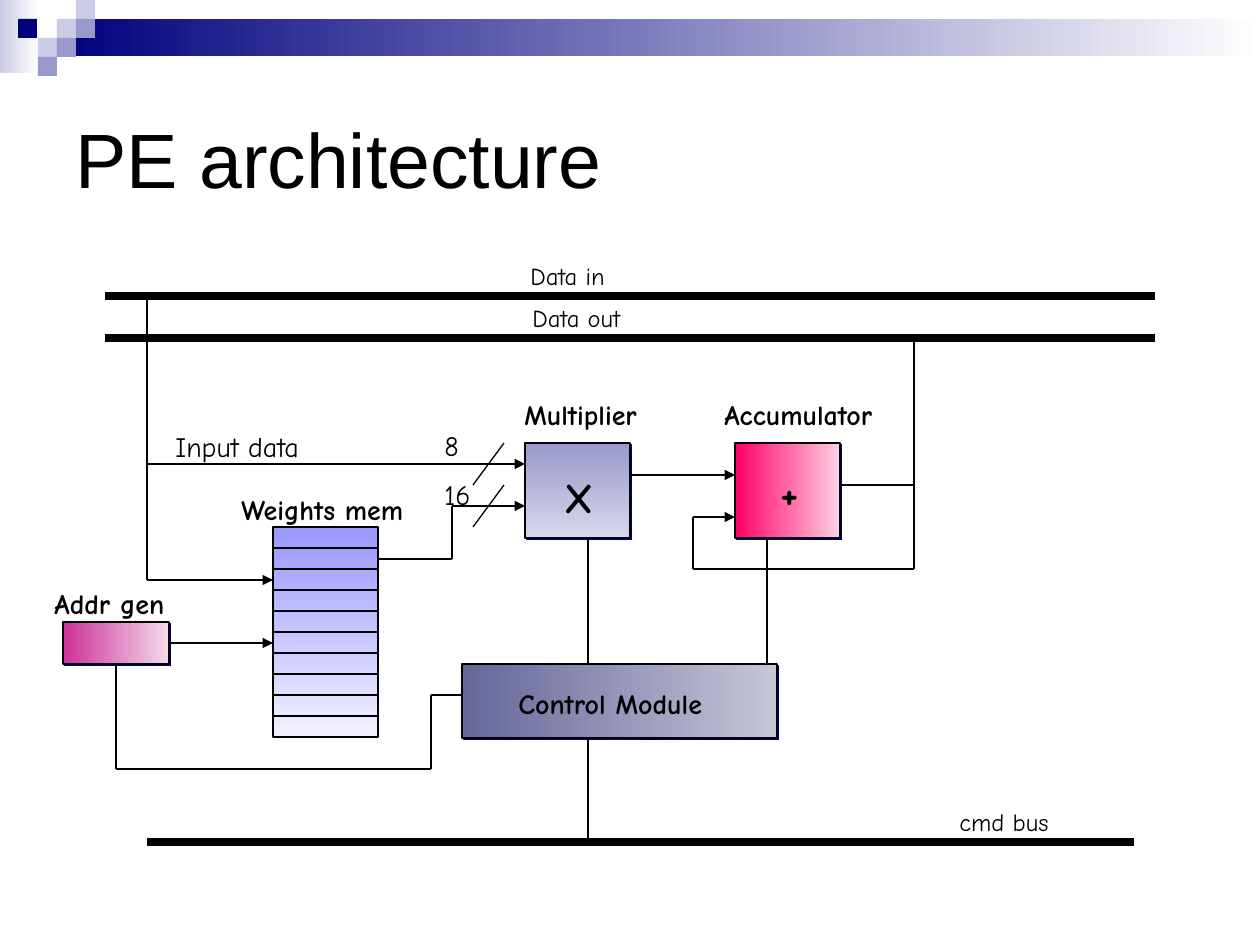
from lxml import etree
from pptx import Presentation
from pptx.dml.color import RGBColor
from pptx.enum.shapes import MSO_CONNECTOR, MSO_SHAPE
from pptx.enum.text import MSO_ANCHOR, MSO_AUTO_SIZE
from pptx.oxml.ns import qn
from pptx.util import Emu, Pt

RECT = MSO_SHAPE.RECTANGLE
LINE = MSO_CONNECTOR.STRAIGHT
MIDDLE = MSO_ANCHOR.MIDDLE
FIT = MSO_AUTO_SIZE.SHAPE_TO_FIT_TEXT
FIXED = MSO_AUTO_SIZE.NONE
BOTTOM, RIGHT = 2, 3

BLACK = RGBColor(0x00, 0x00, 0x00)
WHITE = RGBColor(0xFF, 0xFF, 0xFF)
NAVY = RGBColor(0x00, 0x00, 0x7D)
LILAC = RGBColor(0x99, 0x99, 0xCC)
PALE = RGBColor(0xCC, 0xCC, 0xE6)
MIST = RGBColor(0xD8, 0xD8, 0xEB)
BLUE = RGBColor(0x99, 0x99, 0xFF)
ICE = RGBColor(0xF1, 0xF1, 0xFE)
RED = RGBColor(0xFF, 0x00, 0x66)
ROSE = RGBColor(0xFE, 0xD0, 0xE2)
SLATE = RGBColor(0x66, 0x66, 0x99)
ASH = RGBColor(0xC6, 0xC6, 0xD8)
PLUM = RGBColor(0xCC, 0x33, 0x99)
BLUSH = RGBColor(0xF4, 0xD9, 0xEB)


class Canvas:
    scale = 914400 / 126
    font = "Comic Neue"
    ink = BLACK
    thin = 0.75

    def __init__(self, slide):
        self.slide = slide

    def emu(self, *sizes):
        return [Emu(round(size * self.scale)) for size in sizes]

    def plain(self, place, color):
        shape = self.slide.shapes.add_shape(RECT, *self.emu(*place))
        shape.shadow.inherit = False
        shape.fill.solid()
        shape.fill.fore_color.rgb = color
        shape.line.fill.background()
        return shape

    def blend(self, place, first, last, angle=0):
        """Add a rectangle shaded from first to last."""
        shape = self.plain(place, first)
        shape.fill.gradient()
        shape.fill.gradient_angle = angle
        for stop, color in zip(shape.fill.gradient_stops, (first, last)):
            stop.color.rgb = color
        return shape

    def block(self, place, first, last, angle=0, raised=True):
        """Add an outlined unit, with a hard navy shadow when raised."""
        shape = self.blend(place, first, last, angle)
        shape.line.color.rgb = self.ink
        shape.line.width = Pt(self.thin)
        if raised:
            effects = shape._element.spPr.find(qn("a:effectLst"))
            cast = etree.SubElement(effects, qn("a:outerShdw"), blurRad="0",
                                    dist="17780", dir="2700000", algn="ctr",
                                    rotWithShape="0")
            etree.SubElement(cast, qn("a:srgbClr"), val=str(NAVY))
        return shape

    def line(self, start, end, width=thin, arrow=False):
        wire = self.slide.shapes.add_connector(LINE, *self.emu(*start, *end))
        wire.line.color.rgb = self.ink
        wire.line.width = Pt(width)
        if arrow:
            etree.SubElement(wire.line._get_or_add_ln(), qn("a:tailEnd"),
                             type="triangle")
        etree.SubElement(wire._element.spPr, qn("a:effectLst"))
        return wire

    def route(self, *points, arrow=False):
        """Join points by straight wires and return the first one."""
        final = len(points) - 2
        wires = [self.line(*pair, arrow=arrow and step == final)
                 for step, pair in enumerate(zip(points, points[1:]))]
        return wires[0]

    def text(self, words, place, size=16, bold=False, font=font):
        box = self.slide.shapes.add_textbox(*self.emu(*place))
        frame = box.text_frame
        frame.word_wrap = False
        frame.auto_size = FIT
        run = frame.paragraphs[0].add_run()
        run.text = words
        run.font.name = font
        run.font.size = Pt(size)
        run.font.bold = bold
        run.font.color.rgb = self.ink
        return frame

    def title(self, words, place):
        frame = self.text(words, place, 44, font="Arial")
        frame.auto_size = FIXED
        frame.word_wrap = True
        frame.vertical_anchor = MIDDLE


def banner(canvas):
    canvas.blend((0, 0, 39, 73), PALE, WHITE)
    canvas.blend((57, 19, 1203, 37), NAVY, WHITE)
    tile = 19
    for col, row, color in [(3, 1, PALE), (4, 0, PALE), (4, 1, LILAC),
                            (2, 2, PALE), (3, 2, LILAC), (2, 3, LILAC)]:
        canvas.plain((col * tile, row * tile, tile, tile), color)
    canvas.plain((18, 19, tile, tile), NAVY)


def units(canvas):
    """Add the five units and return the address one."""
    canvas.block((525, 443, 105, 95), LILAC, MIST, 270)
    canvas.block((735, 443, 105, 95), RED, ROSE)
    canvas.block((462, 664, 315, 74), SLATE, ASH)
    left, top, width, step, rows = 273, 527, 105, 21, 10
    canvas.block((left, top, width, step * rows), BLUE, ICE, 270, False)
    for row in range(1, rows):
        level = top + row * step
        canvas.line((left, level), (left + width, level))
    return canvas.block((63, 622, 106, 42), PLUM, BLUSH)


def wires(canvas, addr):
    # Data in to the multiplier and the weights
    canvas.route((147, 296), (147, 580), (200, 580), (273, 580), arrow=True)
    canvas.route((147, 464), (200, 464), (525, 464), arrow=True)
    # Weights to the multiplier, then on to the accumulator
    canvas.route((378, 559), (452, 559), (452, 506), (525, 506), arrow=True)
    canvas.route((630, 475), (735, 475), arrow=True)
    # Accumulator output and its loop back
    canvas.route((840, 485), (914, 485), (914, 338))
    canvas.route((914, 485), (914, 569), (693, 569), (693, 517), (735, 517),
                 arrow=True)
    # Address unit
    first = canvas.route((169, 643), (200, 643), (273, 643), arrow=True)
    first.begin_connect(addr, RIGHT)
    first = canvas.route((116, 664), (116, 769), (431, 769), (431, 695),
                         (462, 695))
    first.begin_connect(addr, BOTTOM)
    # Control
    canvas.route((588, 664), (588, 538))
    canvas.route((767, 664), (767, 538))
    canvas.route((588, 738), (588, 842))
    # Bus width marks
    for top in (443, 485):
        canvas.line((504, top), (473, top + 42))
    for left, right, level in [(105, 1155, 296), (105, 1155, 338),
                               (147, 1134, 842)]:
        canvas.line((right, level), (left, level), 4.5)


def labels(canvas):
    for words, left, top, width in [("Accumulator", 712, 391, 176),
                                    ("Multiplier", 512, 391, 142),
                                    ("Weights mem", 229, 486, 190),
                                    ("Addr gen", 42, 580, 168),
                                    ("Control Module", 506, 680, 211)]:
        frame = canvas.text(words, (left, top, width, 47), bold=True)
        frame.word_wrap = True
    for words, left, top, width in [("Input data", 163, 423, 150),
                                    ("8", 432, 422, 39),
                                    ("16", 432, 471, 52)]:
        canvas.text(words, (left, top, width, 47))
    for words, left, top, width in [("Data in", 518, 255, 100),
                                    ("Data out", 520, 297, 113),
                                    ("cmd bus", 947, 801, 115)]:
        canvas.text(words, (left, top, width, 43), 14)
    canvas.text("X", (552, 465, 54, 63), 24, True)
    canvas.text("+", (768, 460, 43, 63), 24, True)


def main():
    deck = Presentation()
    deck.slide_width = Emu(round(1260 * Canvas.scale))
    deck.slide_height = Emu(round(945 * Canvas.scale))
    canvas = Canvas(deck.slides.add_slide(deck.slide_layouts[6]))
    banner(canvas)
    canvas.title("PE architecture", (63, 63, 1134, 189))
    addr = units(canvas)
    wires(canvas, addr)
    labels(canvas)
    deck.save("out.pptx")


if __name__ == "__main__":
    main()
